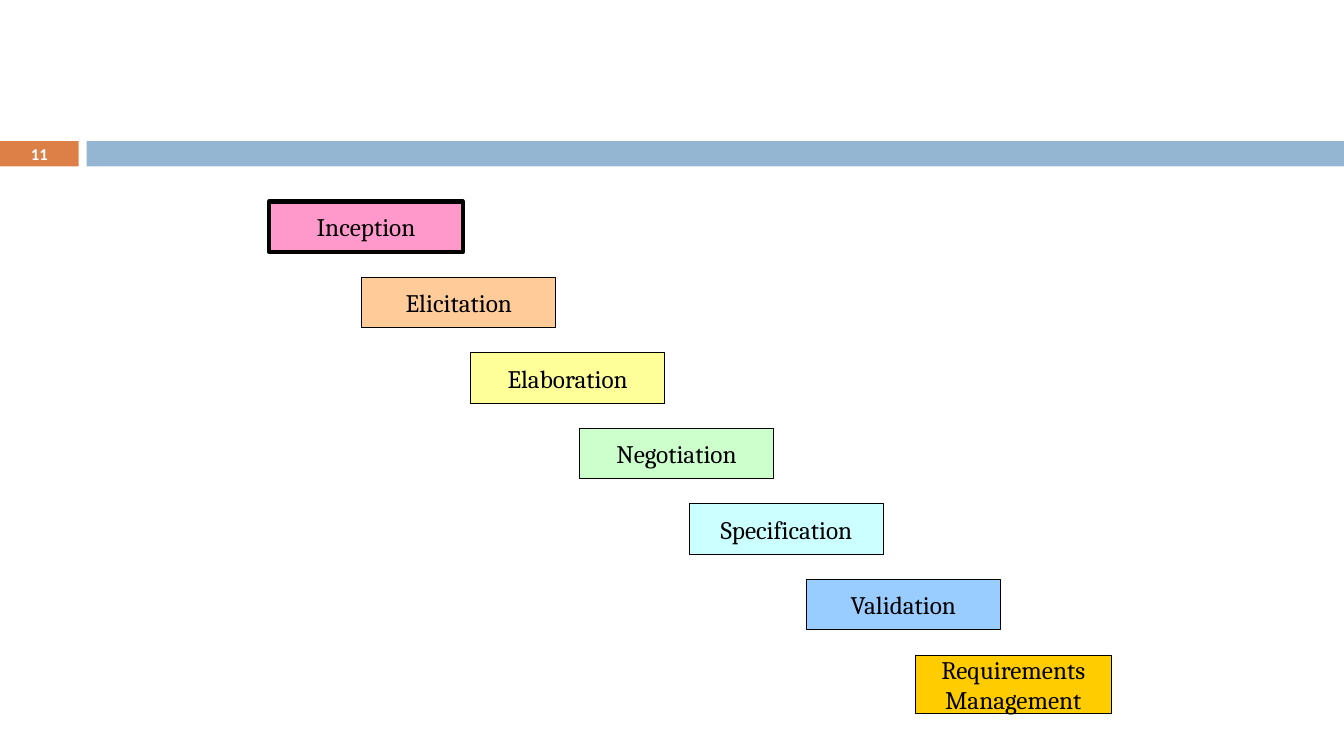
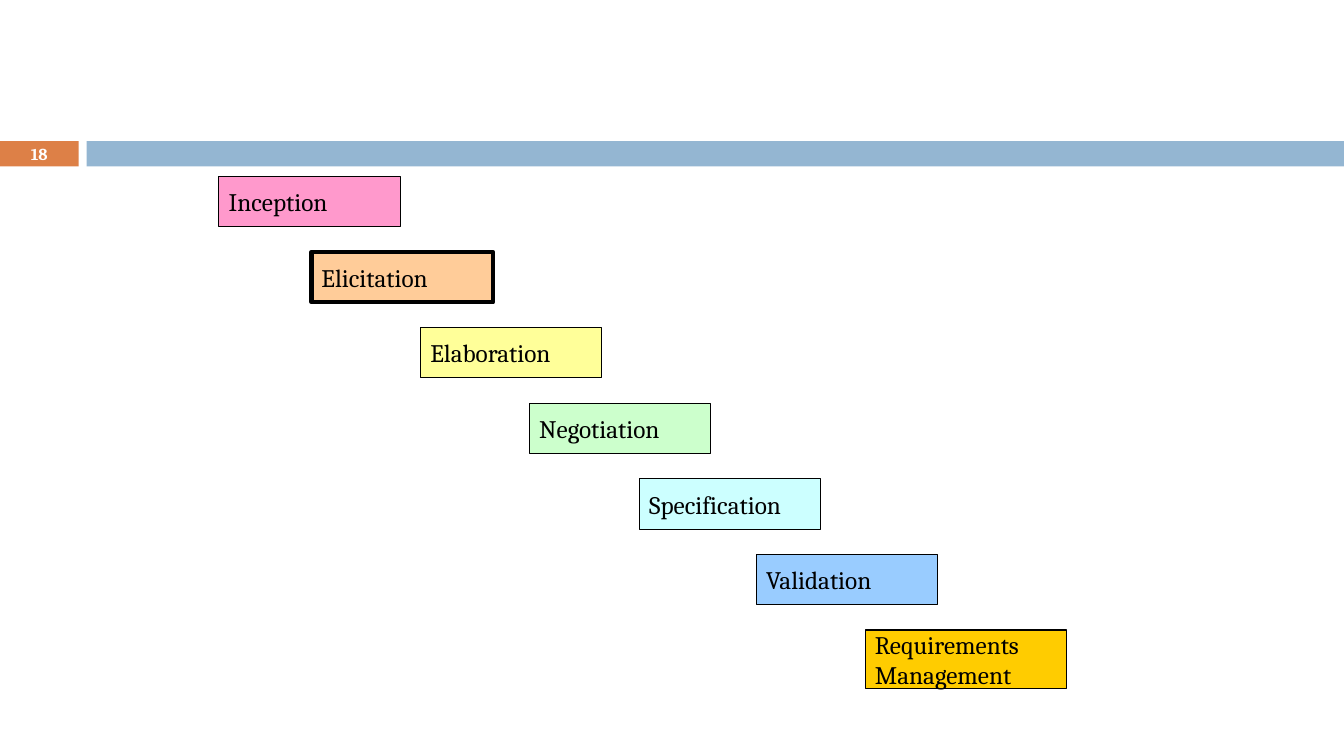
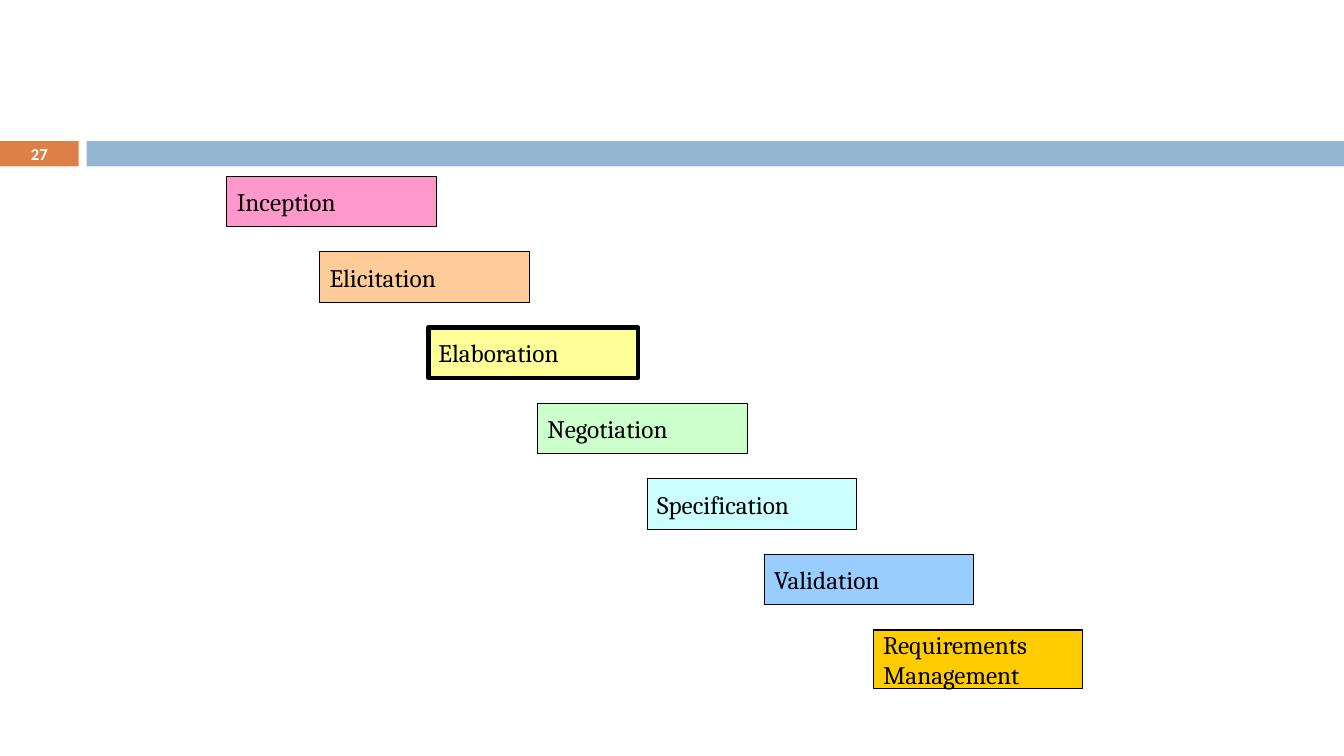
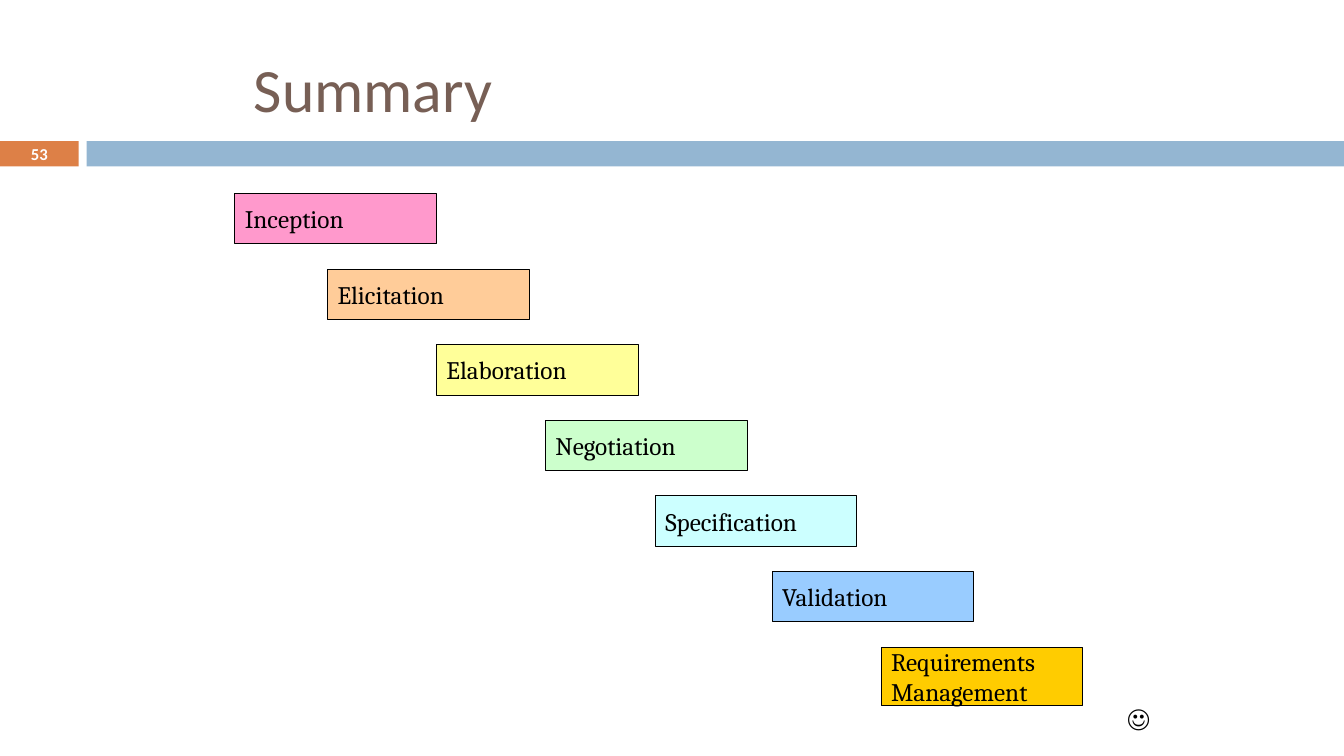
"""Build four slides that step through the stages of requirements work."""
from pptx import Presentation
from pptx.dml.color import RGBColor
from pptx.enum import shapes, text
from pptx.util import Inches, Pt

INK, WHITE, BROWN = "000000", "FFFFFF", "775F55"
ORANGE, BLUE = "DD8047", "94B6D2"
LEFT, MID = text.PP_ALIGN.LEFT, text.PP_ALIGN.CENTER
SANS, SERIF = "Calibri", "Cambria"
STAGES = [
    ("Inception", "FF99CC", 0),
    ("Elicitation", "FFCC99", 0.92),
    ("Elaboration", "FFFF99", 2),
    ("Negotiation", "CCFFCC", 3.08),
    ("Specification", "CCFFFF", 4.17),
    ("Validation", "99CCFF", 5.33),
    ("Requirements\nManagement", "FFCC00", 6.41),
]
STEP = 0.75


def tint(code):
    """Turn a hex string into a colour."""
    return RGBColor.from_string(code)


def write(shape, words, size, font, color, align=LEFT, bold=False):
    """Put styled text into a shape, one paragraph a line."""
    frame = shape.text_frame
    frame.word_wrap = True
    frame.vertical_anchor = text.MSO_ANCHOR.MIDDLE
    frame.text = words
    for para in frame.paragraphs:
        para.alignment = align
        para.font.size = Pt(size)
        para.font.name = font
        para.font.bold = bold
        para.font.color.rgb = tint(color)


def box(slide, area, fill, line=0):
    """Add a filled rectangle, outlined when line is above zero."""
    rect = slide.shapes.add_shape(
        shapes.MSO_SHAPE.RECTANGLE, *map(Inches, area))
    rect.shadow.inherit = False
    rect.fill.solid()
    rect.fill.fore_color.rgb = tint(fill)
    if line:
        rect.line.color.rgb = tint(INK)
        rect.line.width = Pt(line)
    else:
        rect.line.fill.background()
    return rect


def label(slide, area, *style, **more):
    """Add a text box."""
    write(slide.shapes.add_textbox(*map(Inches, area)), *style, **more)


def page(deck, number, font=SANS):
    """Add a slide with its bands and page number."""
    slide = deck.slides.add_slide(deck.slide_layouts[6])
    box(slide, (0, 1.4, 0.78, 0.25), ORANGE)
    box(slide, (0.86, 1.4, 12.47, 0.25), BLUE)
    label(slide, (0, 1.39, 0.78, 0.27), str(number), 11.9, font, WHITE,
          align=MID, bold=True)
    return slide


def stairs(slide, left, top, width, last, align=LEFT, focus=None):
    """Lay the stages out as stairs, with a thick line around the focus."""
    for row, (name, fill, shift) in enumerate(STAGES):
        final = row == len(STAGES) - 1
        area = (left + shift, top + row * STEP,
                last if final else width, 0.58 if final else 0.5)
        rect = box(slide, area, fill, 3 if name == focus else 0.75)
        write(rect, name, 18, SERIF, INK, align)


def main():
    """Build and save the deck."""
    deck = Presentation()
    deck.slide_width, deck.slide_height = Inches(13.33), Inches(7.5)
    stairs(page(deck, 11), 2.67, 2, 1.92, 1.94, MID, "Inception")
    stairs(page(deck, 18, SERIF), 2.17, 1.75, 1.8, 2, focus="Elicitation")
    stairs(page(deck, 27), 2.25, 1.75, 2.08, 2.08, focus="Elaboration")
    end = page(deck, 53)
    label(end, (2.42, 0.25, 8.5, 1.25), "Summary", 44, SANS, BROWN)
    stairs(end, 2.33, 1.92, 2, 2)
    label(end, (11.08, 6.92, 0.55, 0.4), "\u263a", 18, SERIF, INK)
    deck.save("out.pptx")


main()
